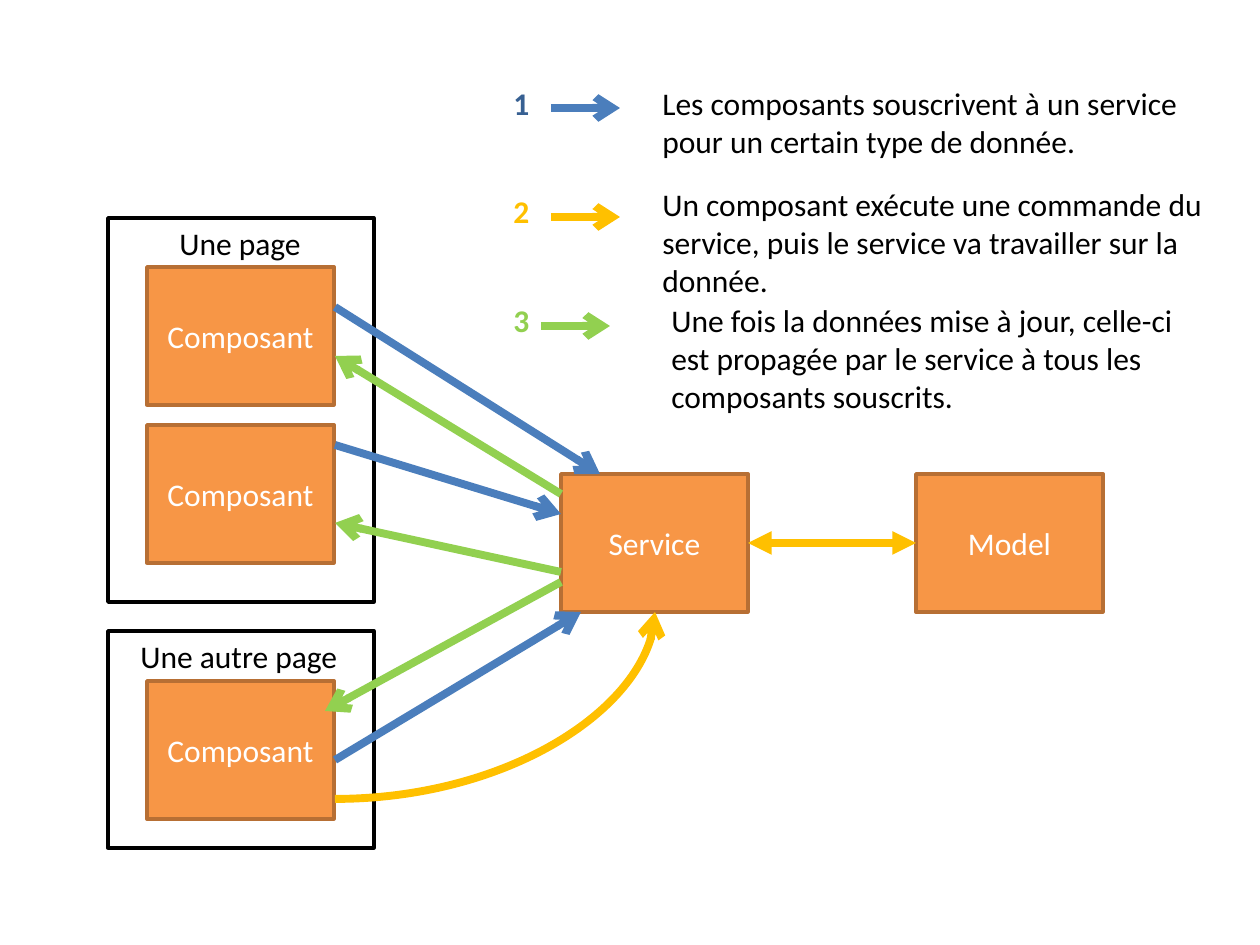
"""Build a slide showing how page components, a service and a model exchange data."""
from lxml import etree
from pptx import Presentation
from pptx.dml.color import RGBColor
from pptx.enum.shapes import MSO_CONNECTOR, MSO_SHAPE
from pptx.enum.text import MSO_ANCHOR, PP_ALIGN
from pptx.oxml.ns import qn
from pptx.util import Inches, Pt

RECTANGLE = MSO_SHAPE.RECTANGLE
STRAIGHT, CURVE = MSO_CONNECTOR.STRAIGHT, MSO_CONNECTOR.CURVE
LEFT, CENTER = PP_ALIGN.LEFT, PP_ALIGN.CENTER
TOP, MIDDLE = MSO_ANCHOR.TOP, MSO_ANCHOR.MIDDLE
PX = 7257
THEME = {
    "font": "Calibri", "size": Pt(18), "border": Pt(2), "arrow": Pt(4.5),
    "black": RGBColor.from_string("000000"),
    "white": RGBColor.from_string("FFFFFF"),
    "orange": RGBColor.from_string("F79646"),
    "brown": RGBColor.from_string("B76F34"),
    "blue": RGBColor.from_string("4B7EBC"),
    "navy": RGBColor.from_string("376092"),
    "yellow": RGBColor.from_string("FFC000"),
    "green": RGBColor.from_string("92D050"),
}

deck = Presentation()
deck.slide_width, deck.slide_height = Inches(10), Inches(7.5)
page = deck.slides.add_slide(deck.slide_layouts[6])


def write(box, text, color="black", bold=False, align=LEFT, anchor=TOP):
    frame = box.text_frame
    frame.word_wrap = True
    frame.vertical_anchor = anchor
    para = frame.paragraphs[0]
    para.alignment = align
    span = para.add_run()
    span.text = text
    span.font.name, span.font.size = THEME["font"], THEME["size"]
    span.font.bold = bold
    span.font.color.rgb = THEME[color]


def draw_arrow(start, end, color, kind=STRAIGHT, head=None, tail="arrow"):
    points = [value * PX for value in (*start, *end)]
    arrow = page.shapes.add_connector(kind, *points)
    arrow.line.color.rgb = THEME[color]
    arrow.line.width = THEME["arrow"]
    outline = arrow.line._get_or_add_ln()
    for tag, style in (("a:headEnd", head), ("a:tailEnd", tail)):
        if style:
            etree.SubElement(outline, qn(tag), type=style)
    etree.SubElement(arrow._element.spPr, qn("a:effectLst"))
    return arrow


blocks = []
for text, left, top in (
    ("Composant", 147, 267),
    ("Composant", 147, 425),
    ("Composant", 147, 681),
    ("Service", 561, 474),
    ("Model", 916, 474),
):
    block = page.shapes.add_shape(RECTANGLE, left * PX, top * PX, 187 * PX, 138 * PX)
    block.shadow.inherit = False
    block.fill.solid()
    block.fill.fore_color.rgb = THEME["orange"]
    block.line.color.rgb = THEME["brown"]
    block.line.width = THEME["border"]
    write(block, text, color="white", align=CENTER, anchor=MIDDLE)
    blocks.append(block)
service, model = blocks[3:]

for title, top, height, title_left, title_width in (
    ("Une page", 218, 384, 167, 178),
    ("Une autre page", 631, 217, 128, 246),
):
    border = page.shapes.add_shape(RECTANGLE, 108 * PX, top * PX, 266 * PX, height * PX)
    border.shadow.inherit = False
    border.fill.background()
    border.line.color.rgb = THEME["black"]
    border.line.width = THEME["border"]
    label = page.shapes.add_textbox(title_left * PX, top * PX, title_width * PX, 50 * PX)
    write(label, title)

for start, end, color in (
    ((335, 307), (600, 474), "blue"),
    ((335, 445), (561, 514), "blue"),
    ((335, 760), (581, 612), "blue"),
    ((561, 494), (335, 356), "green"),
    ((561, 572), (335, 523), "green"),
    ((561, 582), (325, 711), "green"),
):
    draw_arrow(start, end, color)

exchange = draw_arrow((748, 543), (916, 543), "yellow", head="triangle", tail="triangle")
exchange.begin_connect(service, 3)
exchange.end_connect(model, 1)

command = draw_arrow((335, 799), (655, 612), "yellow", kind=CURVE)
command._element.spPr.find(qn("a:prstGeom")).set("prst", "curvedConnector2")

for number, number_top, number_color, arrow_left, arrow_y, arrow_color, left, top, width, height, text in (
    ("1", 78, "navy", 551, 108, "blue", 650, 78, 542, 89,
     "Les composants souscrivent à un service pour un certain type de donnée."),
    ("2", 186, "yellow", 551, 217, "yellow", 650, 179, 571, 127,
     "Un composant exécute une commande du service, puis le service va travailler sur la donnée."),
    ("3", 295, "green", 541, 326, "green", 659, 295, 542, 127,
     "Une fois la données mise à jour, celle-ci est propagée par le service à tous les composants souscrits."),
):
    label = page.shapes.add_textbox(501 * PX, number_top * PX, 69 * PX, 50 * PX)
    write(label, number, color=number_color, bold=True)
    draw_arrow((arrow_left, arrow_y), (arrow_left + 69, arrow_y), arrow_color)
    caption = page.shapes.add_textbox(left * PX, top * PX, width * PX, height * PX)
    write(caption, text)

deck.save("out.pptx")
